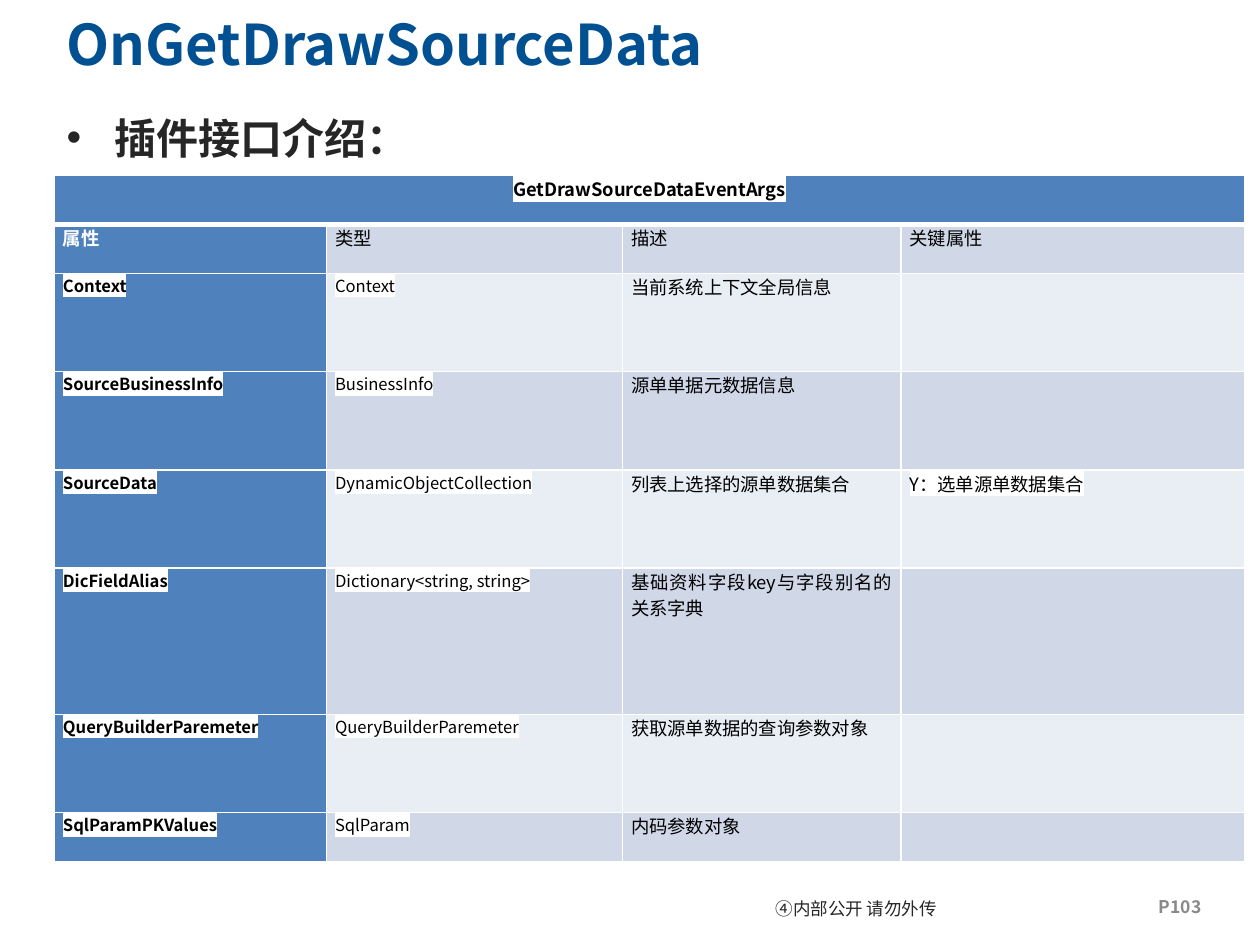
from lxml import etree
from pptx import Presentation
from pptx.dml.color import RGBColor
from pptx.enum import text as t
from pptx.oxml.ns import qn
from pptx.util import Inches, Pt

FONT = "Noto Sans CJK SC"
BLUE, WHITE, BLACK, DARK = "4F81BD", "FFFFFF", "000000", "262626"
BANDS = ("D0D8E8", "E9EDF4")
COLS = (2.16, 2.35, 2.21, 2.73)
ROWS = (0.39, 0.39, 0.78, 0.78, 0.78, 1.16, 0.78, 0.39)
HEADINGS = ("属性", "类型", "描述", "关键属性")
PROPERTIES = (
    ("Context", "Context", "当前系统上下文全局信息", ""),
    ("SourceBusinessInfo", "BusinessInfo", "源单单据元数据信息", ""),
    ("SourceData", "DynamicObjectCollection", "列表上选择的源单数据集合",
     "Y：选单源单数据集合"),
    ("DicFieldAlias", "Dictionary<string, string>",
     "基础资料字段key与字段别名的关系字典", ""),
    ("QueryBuilderParemeter", "QueryBuilderParemeter",
     "获取源单数据的查询参数对象", ""),
    ("SqlParamPKValues", "SqlParam", "内码参数对象", ""),
)


def rgb(value):
    return RGBColor.from_string(value)


def add_run(p, content, size, color, bold=False, highlight=None):
    r = p.add_run()
    r.text = content
    for name, value in {"size": Pt(size), "bold": bold, "name": FONT}.items():
        setattr(r.font, name, value)
    r.font.color.rgb = rgb(color)
    latin = r.font._element.find(qn("a:latin"))
    ea = etree.Element(qn("a:ea"), typeface=FONT)
    latin.addnext(ea)
    if highlight:
        mark = etree.Element(qn("a:highlight"))
        etree.SubElement(mark, qn("a:srgbClr"), val=highlight)
        latin.addprevious(mark)


def add_text(s, box, content, size, color, bold=False, **frame):
    tf = s.shapes.add_textbox(*map(Inches, box)).text_frame
    tf.word_wrap = True
    for name, value in frame.items():
        setattr(tf, name, value)
    p = tf.paragraphs[0]
    add_run(p, content, size, color, bold)
    return p


def add_heading(s, box):
    p = add_text(s, box, "插件接口介绍：", 24, DARK, True)
    pPr = p._p.get_or_add_pPr()
    pPr.set("marL", str(Inches(0.38)))
    pPr.set("indent", str(-Inches(0.38)))
    etree.SubElement(pPr, qn("a:buFont"), typeface="Arial")
    etree.SubElement(pPr, qn("a:buChar"), char="•")


def set_borders(cell, top=1, bottom=1):
    tcPr = cell._tc.get_or_add_tcPr()
    widths = {"L": 1, "R": 1, "T": top, "B": bottom}
    for i, (side, width) in enumerate(widths.items()):
        ln = etree.Element(qn("a:ln" + side), w=str(Pt(width)))
        fill = etree.SubElement(ln, qn("a:solidFill"))
        etree.SubElement(fill, qn("a:srgbClr"), val=WHITE)
        tcPr.insert(i, ln)


def fill_cell(cell, content, fill, align, **style):
    margins = {"margin_left": 0.07, "margin_right": 0.07,
               "margin_top": 0, "margin_bottom": 0}
    for name, value in margins.items():
        setattr(cell, name, Inches(value))
    cell.fill.solid()
    cell.fill.fore_color.rgb = rgb(fill)
    p = cell.text_frame.paragraphs[0]
    p.alignment = align
    if content:
        add_run(p, content, **style)
    else:
        etree.SubElement(p._p, qn("a:endParaRPr"), sz="1050")


def cell_style(row, col):
    if row == 1:
        return {"size": 10.5, "color": BLACK if col else WHITE, "bold": col == 0}
    return {"size": 9.5 if col < 2 else 10.5, "color": BLACK,
            "bold": col == 0, "highlight": None if col == 2 else WHITE}


def add_property_table(s, box):
    frame = s.shapes.add_table(len(ROWS), len(COLS), *map(Inches, box))
    table = frame.table
    for column, width in zip(table.columns, COLS):
        column.width = Inches(width)
    for row, height in zip(table.rows, ROWS):
        row.height = Inches(height)

    # Merged title row
    table.cell(0, 0).merge(table.cell(0, len(COLS) - 1))
    fill_cell(table.cell(0, 0), "GetDrawSourceDataEventArgs", BLUE,
              t.PP_ALIGN.CENTER, size=10.5, color=BLACK, bold=True,
              highlight=WHITE)
    for col in range(len(COLS)):
        set_borders(table.cell(0, col), bottom=3)

    # Column headings and properties, in alternating bands
    for row, values in enumerate((HEADINGS, *PROPERTIES), 1):
        for col, content in enumerate(values):
            cell = table.cell(row, col)
            fill = BANDS[(row - 1) % 2] if col else BLUE
            fill_cell(cell, content, fill, t.PP_ALIGN.JUSTIFY,
                      **cell_style(row, col))
            set_borders(cell, top=3 if row == 1 else 1)


def add_footer(s, box):
    left, top, width, height = box
    p = add_text(s, (left, top, 1.77, height), "④内部公开 请勿外传", 10, DARK,
                 vertical_anchor=t.MSO_ANCHOR.MIDDLE,
                 margin_left=Inches(0.08), margin_right=Inches(0.08),
                 margin_top=Inches(0.01), margin_bottom=Inches(0.01))
    p.alignment = t.PP_ALIGN.CENTER
    p.line_spacing = Pt(14)
    add_text(s, (left + width - 0.9, top + 0.04, 0.9, 0.27), "P103", 10,
             "898989", True, auto_size=t.MSO_AUTO_SIZE.SHAPE_TO_FIT_TEXT)


def main():
    prs = Presentation()
    prs.slide_width, prs.slide_height = Inches(10), Inches(7.5)
    s = prs.slides.add_slide(prs.slide_layouts[6])
    add_footer(s, (5.91, 7.02, 4.09, 0.36))
    add_heading(s, (0.43, 0.84, 9.12, 5.62))
    add_text(s, (0.43, 0, 7.32, 0.68), "OnGetDrawSourceData", 32, "005092",
             True, vertical_anchor=t.MSO_ANCHOR.MIDDLE)
    add_property_table(s, (0.43, 1.39, sum(COLS), sum(ROWS)))
    prs.save("out.pptx")


if __name__ == "__main__":
    main()
